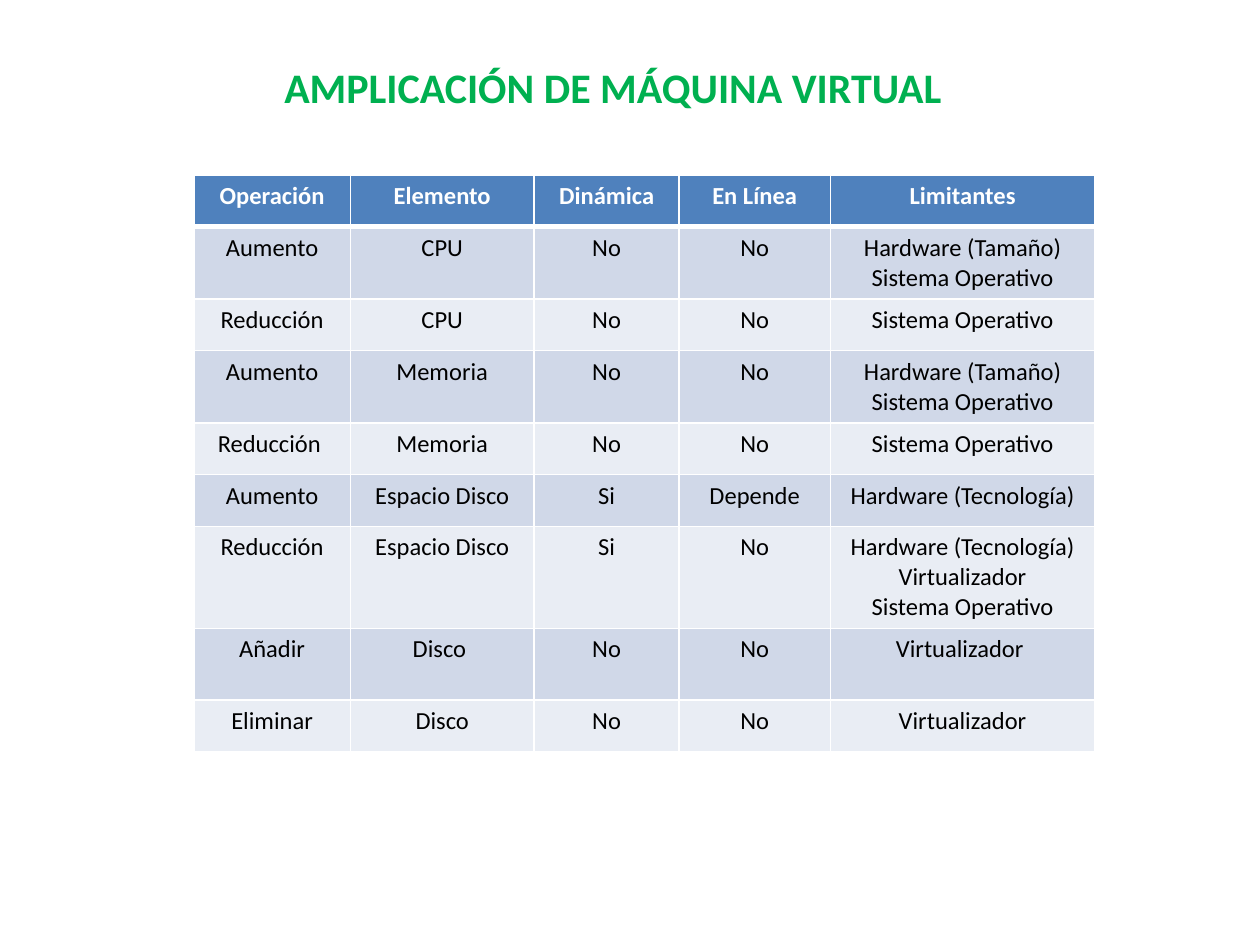
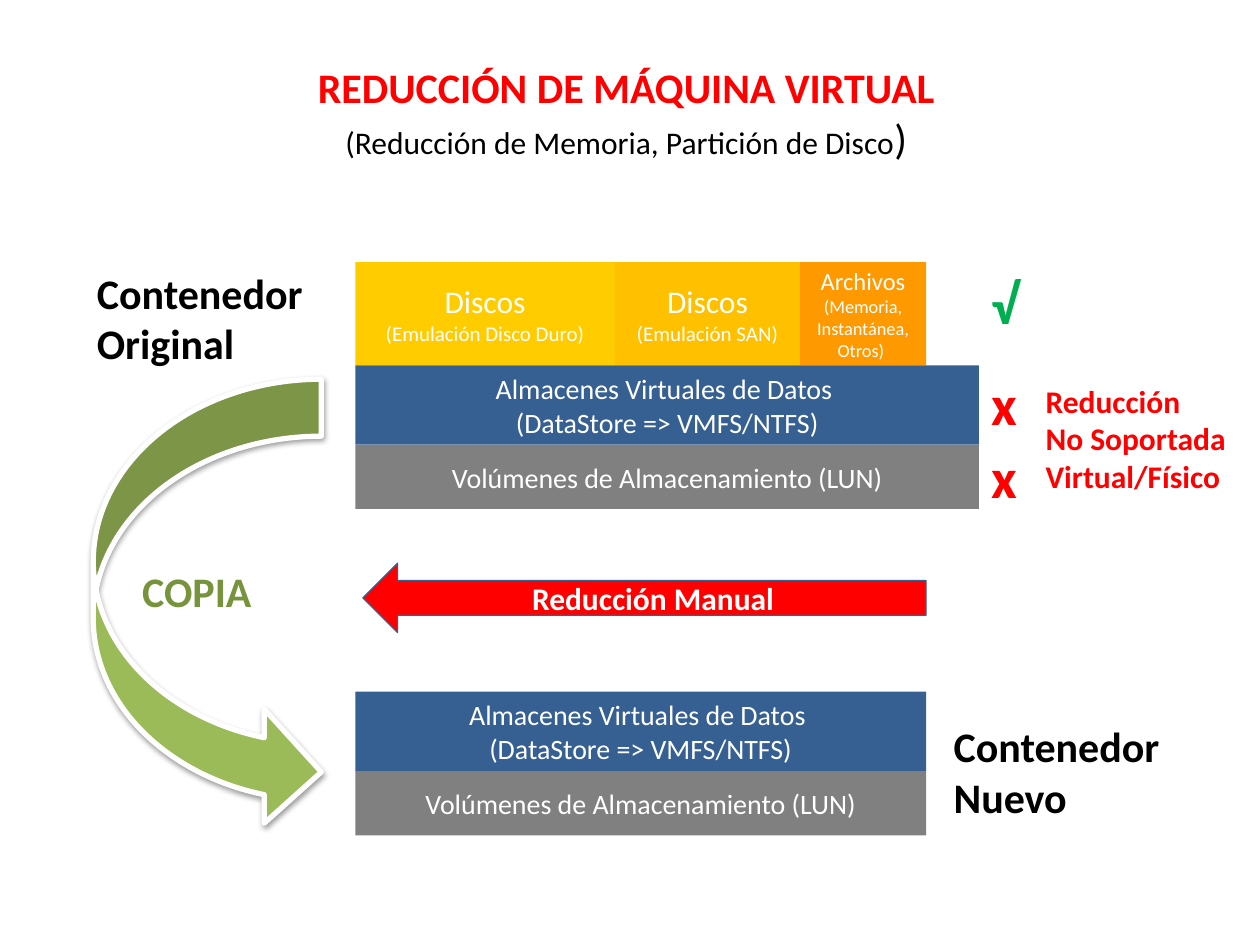
"""Builds two slides on enlarging and reducing a virtual machine."""
from lxml import etree
from pptx import Presentation
from pptx.dml.color import RGBColor
from pptx.enum.shapes import MSO_SHAPE
from pptx.enum.text import MSO_ANCHOR, MSO_AUTO_SIZE, PP_ALIGN
from pptx.oxml.ns import qn
from pptx.util import Inches, Pt

RECTANGLE, LEFT_ARROW = MSO_SHAPE.RECTANGLE, MSO_SHAPE.LEFT_ARROW
CURVED_ARROW = MSO_SHAPE.CURVED_RIGHT_ARROW
TOP, MIDDLE = MSO_ANCHOR.TOP, MSO_ANCHOR.MIDDLE
LEFT, CENTER = PP_ALIGN.LEFT, PP_ALIGN.CENTER
FIXED_SIZE = MSO_AUTO_SIZE.NONE

FONT = "Calibri"
WHITE, BLACK, RED, GREEN = "FFFFFF", "000000", "FF0000", "00B050"
OLIVE, LEAF, ARROW_EDGE = "77933C", "9BBB59", "3A5F8C"
HEADER_FILL, BANDS = "4F81BD", ("D0D8E8", "E9EDF4")
STORE_FILL, VOLUME_FILL = "376092", "808080"

GROWTH_TITLE = [[("AMPLICACIÓN DE MÁQUINA VIRTUAL", 24, GREEN, True)]]
REDUCTION_TITLE = [
    [("REDUCCIÓN DE MÁQUINA VIRTUAL", 24, RED, True)],
    [("(Reducción de Memoria, Partición de Disco", 18, BLACK, False),
     (")", 24, BLACK, False)],
]

OPERATIONS = [
    ("Operación", "Elemento", "Dinámica", "En Línea", "Limitantes"),
    ("Aumento", "CPU", "No", "No", "Hardware (Tamaño)\nSistema Operativo"),
    ("Reducción", "CPU", "No", "No", "Sistema Operativo"),
    ("Aumento", "Memoria", "No", "No", "Hardware (Tamaño)\nSistema Operativo"),
    ("Reducción ", "Memoria", "No", "No", "Sistema Operativo"),
    ("Aumento", "Espacio Disco", "Si", "Depende", "Hardware (Tecnología)"),
    ("Reducción", "Espacio Disco", "Si", "No",
     "Hardware (Tecnología)\nVirtualizador\nSistema Operativo"),
    ("Añadir", "Disco ", "No", "No", "Virtualizador "),
    ("Eliminar", "Disco", "No", "No", "Virtualizador"),
]
COLUMN_WIDTHS = (1.24, 1.46, 1.15, 1.2, 2.1)
ROW_HEIGHT, TALL_ROWS = 0.41, {1: 0.57, 3: 0.57, 6: 0.81, 7: 0.57}

STACK_LEFT, DISKS_TOP, DISKS_HEIGHT = 2.82, 2.08, 0.82
DISKS = [
    (2.06, "FFCC00", [("Discos", 18), ("(Emulación Disco Duro)", 12)]),
    (1.47, "FFC000", [("Discos", 18), ("(Emulación SAN)", 12)]),
    (1, "FF9900", [("Archivos", 14), ("(Memoria,", 10.5),
                   ("Instantánea,", 10.5), ("Otros) ", 10.5)]),
]
STORAGE_LAYERS = [
    (0.63, STORE_FILL, "Almacenes Virtuales de Datos \v(DataStore => VMFS/NTFS)"),
    (0.51, VOLUME_FILL, "Volúmenes de Almacenamiento (LUN)"),
]
STORAGE_STACKS = [(2.9, 4.95), (5.49, 4.53)]

LABELS = [
    ((7.77, 2.88, 0.41, 0.64), False, ["x"], 32, RED),
    ((7.77, 3.46, 0.41, 0.64), False, ["x"], 32, RED),
    ((7.77, 2.08, 0.43, 0.64), False, ["√"], 32, GREEN),
    ((8.2, 2.98, 1.8, 1.34), True,
     ["Reducción", "No Soportada", "Virtual/Físico"], 18, RED),
    ((1.03, 4.44, 1.08, 0.5), False, ["COPIA"], 24, OLIVE),
    ((7.47, 5.67, 1.85, 0.91), False, ["Contenedor", "Nuevo"], 24, BLACK),
    ((0.67, 2.07, 1.85, 0.91), False, ["Contenedor", "Original"], 24, BLACK),
]


def rgb(value):
    return RGBColor.from_string(value)


def inches(values):
    return [Inches(value) for value in values]


def paint(part, color):
    part.fill.solid()
    part.fill.fore_color.rgb = rgb(color)


def write(frame, paragraphs, align=CENTER):
    """Fills a frame with paragraphs of (text, size, color, bold) runs."""
    for index, runs in enumerate(paragraphs):
        paragraph = frame.add_paragraph() if index else frame.paragraphs[0]
        paragraph.alignment = align
        for text, size, color, bold in runs:
            for part, line in enumerate(text.split("\v")):
                if part:
                    paragraph.add_line_break()
                run = paragraph.add_run()
                run.text = line
                font = run.font
                font.name, font.size, font.bold = FONT, Pt(size), bold
                font.color.rgb = rgb(color)


def add_titled_slide(deck, paragraphs, place):
    slide = deck.slides.add_slide(deck.slide_layouts[5])
    title = slide.shapes.title
    title.left, title.top, title.width, title.height = inches(place)
    frame = title.text_frame
    frame.word_wrap, frame.auto_size = True, FIXED_SIZE
    frame.vertical_anchor = TOP
    write(frame, paragraphs)
    return slide


def add_block(slide, kind, place, fill, paragraphs=(), edge=None, edge_width=0):
    block = slide.shapes.add_shape(kind, *inches(place))
    block.shadow.inherit = False
    paint(block, fill)
    if edge:
        block.line.color.rgb = rgb(edge)
        block.line.width = Pt(edge_width)
    else:
        block.line.fill.background()
    block.text_frame.vertical_anchor = MIDDLE
    write(block.text_frame, paragraphs)
    return block


def add_label(slide, place, wraps, lines, size, color):
    frame = slide.shapes.add_textbox(*inches(place)).text_frame
    frame.word_wrap = wraps
    write(frame, [[(line, size, color, True)] for line in lines], LEFT)


def drop_shadow(shape, blur, distance, opacity):
    effects = shape._element.spPr.find(qn("a:effectLst"))
    shadow = etree.SubElement(
        effects, qn("a:outerShdw"), blurRad=str(Pt(blur)), dist=str(Pt(distance)),
        dir="5400000", rotWithShape="0")
    color = etree.SubElement(shadow, qn("a:srgbClr"), val=BLACK)
    etree.SubElement(color, qn("a:alpha"), val=str(opacity * 1000))


def set_borders(cell, widths):
    """Draws white left, right, top and bottom borders before the cell's fill."""
    properties = cell._tc.get_or_add_tcPr()
    for index, (side, width) in enumerate(zip(("lnL", "lnR", "lnT", "lnB"), widths)):
        border = etree.Element(qn("a:" + side), w=str(Pt(width)))
        solid = etree.SubElement(border, qn("a:solidFill"))
        etree.SubElement(solid, qn("a:srgbClr"), val=WHITE)
        properties.insert(index, border)


def build_growth(deck):
    slide = add_titled_slide(deck, GROWTH_TITLE, (2.01, 0.44, 5.71, 0.5))
    heights = [TALL_ROWS.get(row, ROW_HEIGHT) for row in range(len(OPERATIONS))]
    table = slide.shapes.add_table(
        len(OPERATIONS), len(COLUMN_WIDTHS),
        *inches((1.54, 1.39, sum(COLUMN_WIDTHS), sum(heights)))).table
    for column, width in zip(table.columns, COLUMN_WIDTHS):
        column.width = Inches(width)
    for row, operation in enumerate(OPERATIONS):
        table.rows[row].height = Inches(heights[row])
        header = row == 0
        for column, text in enumerate(operation):
            cell = table.cell(row, column)
            paint(cell, HEADER_FILL if header else BANDS[(row - 1) % 2])
            set_borders(cell, (1, 1, 3 if row == 1 else 1, 3 if header else 1))
            color = WHITE if header else BLACK
            write(cell.text_frame,
                  [[(line, 14, color, header)] for line in text.split("\n")])


def build_reduction(deck):
    slide = add_titled_slide(deck, REDUCTION_TITLE, (1.6, 0.44, 6.74, 0.91))
    left = STACK_LEFT
    for width, fill, lines in DISKS:
        add_block(slide, RECTANGLE, (left, DISKS_TOP, width, DISKS_HEIGHT), fill,
                  [[(text, size, WHITE, False)] for text, size in lines])
        left += width
    for top, width in STORAGE_STACKS:
        for height, fill, text in STORAGE_LAYERS:
            add_block(slide, RECTANGLE, (STACK_LEFT, top, width, height), fill,
                      [[(text, 16, WHITE, False)]])
            top += height
    add_block(slide, LEFT_ARROW, (2.88, 4.47, 4.47, 0.55), RED,
              [[("Reducción Manual", 18, WHITE, True)]], ARROW_EDGE)
    copy_arrow = add_block(slide, CURVED_ARROW, (0.74, 3.01, 1.81, 3.57), LEAF,
                           edge=WHITE, edge_width=3)
    drop_shadow(copy_arrow, 3.1, 1.6, 38)
    for label in LABELS:
        add_label(slide, *label)


def main():
    deck = Presentation()
    deck.slide_width, deck.slide_height = Inches(10), Inches(7.5)
    build_growth(deck)
    build_reduction(deck)
    deck.save("out.pptx")


if __name__ == "__main__":
    main()
